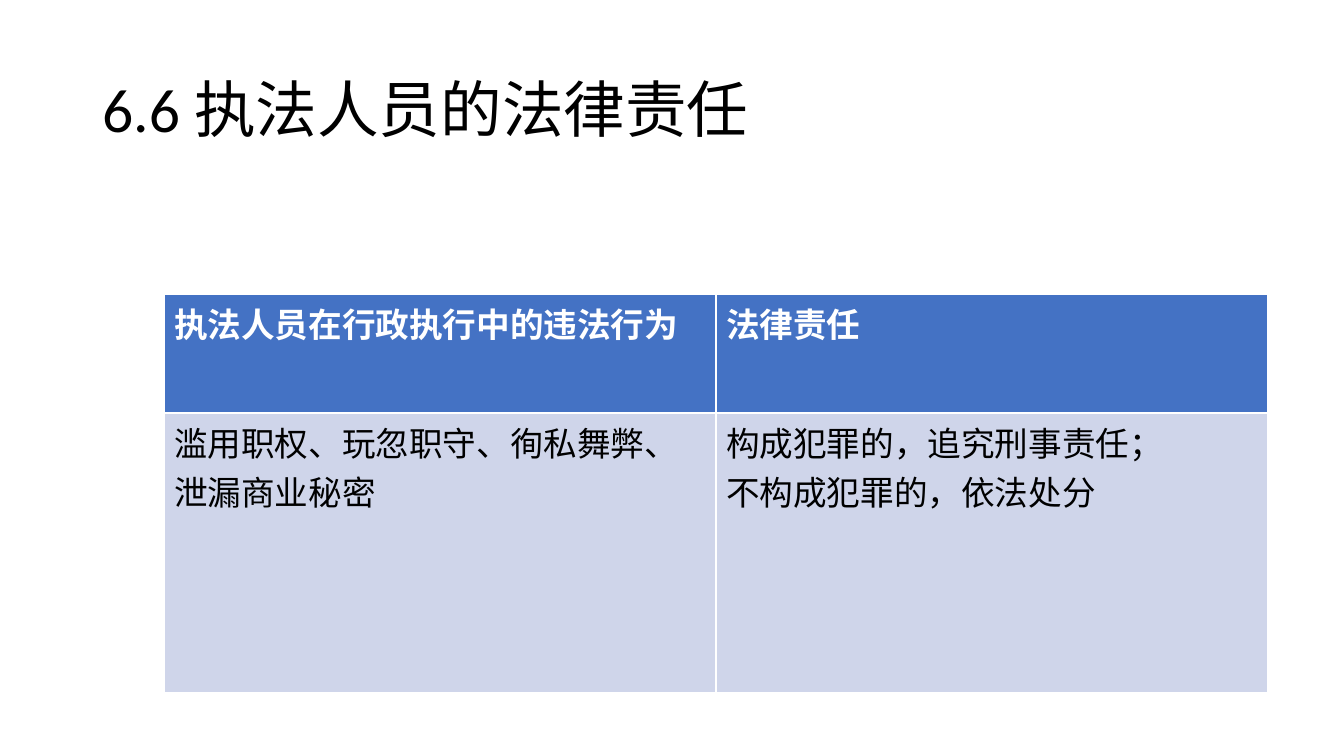
from pptx import Presentation
from pptx.dml.color import RGBColor
from pptx.enum.text import MSO_ANCHOR, MSO_AUTO_SIZE, PP_ALIGN
from pptx.util import Pt

PX = 914400 / 100.8
FONT = "Calibri"
COLORS = {"text": "000000", "header_text": "FFFFFF", "header": "4472C4", "body": "CFD5EA"}
ROW_HEIGHTS = [119, 280]
COLUMN_WIDTH = 552
ROWS = [
    ["执法人员在行政执行中的违法行为", "法律责任"],
    ["滥用职权、玩忽职守、徇私舞弊、泄漏商业秘密",
     "构成犯罪的，追究刑事责任；\n不构成犯罪的，依法处分"],
]


def px(length):
    return round(length * PX)


def set_font(paragraph, size, color, bold=False):
    font = paragraph.font
    font.name = FONT
    font.size = Pt(size)
    font.bold = bold
    font.color.rgb = RGBColor.from_string(COLORS[color])


presentation = Presentation()
presentation.slide_width = px(1344)
presentation.slide_height = px(756)
slide = presentation.slides.add_slide(presentation.slide_layouts[5])

# Title
title = slide.shapes.title
title.left, title.top, title.width, title.height = px(92), px(40), px(1159), px(146)
title_frame = title.text_frame
title_frame.text = "6.6 执法人员的法律责任"
title_frame.vertical_anchor = MSO_ANCHOR.MIDDLE
title_frame.auto_size = MSO_AUTO_SIZE.NONE
heading = title_frame.paragraphs[0]
heading.alignment = PP_ALIGN.LEFT
heading.line_spacing = 0.9
set_font(heading, 44, "text")

# Table of offences and liabilities; the default table style draws the white rules
table = slide.shapes.add_table(
    len(ROWS), len(ROWS[0]), px(164), px(294),
    px(COLUMN_WIDTH * len(ROWS[0])), px(sum(ROW_HEIGHTS)),
).table
for column in table.columns:
    column.width = px(COLUMN_WIDTH)

for row_index, (height, texts) in enumerate(zip(ROW_HEIGHTS, ROWS)):
    table.rows[row_index].height = px(height)
    is_header = row_index == 0
    for column_index, text in enumerate(texts):
        cell = table.cell(row_index, column_index)
        cell.text = text
        cell.fill.solid()
        cell.fill.fore_color.rgb = RGBColor.from_string(COLORS["header" if is_header else "body"])
        for paragraph in cell.text_frame.paragraphs:
            set_font(paragraph, 24, "header_text" if is_header else "text", is_header)

presentation.save("out.pptx")
